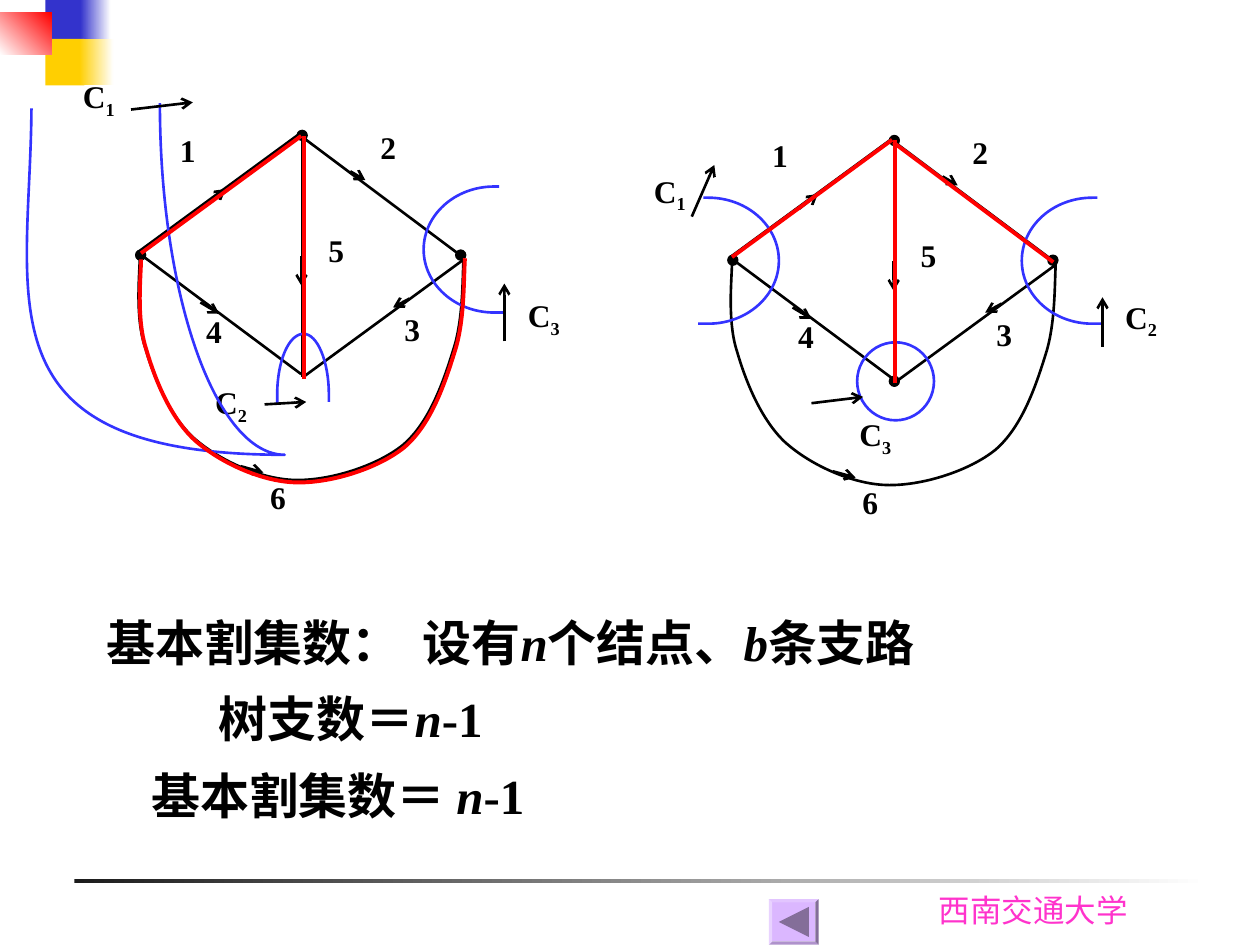
"""Build a slide on fundamental cut sets, with two directed graphs and their trees."""
from lxml.etree import SubElement
from pptx import Presentation
from pptx.dml.color import RGBColor
from pptx.enum.shapes import MSO_CONNECTOR, MSO_SHAPE
from pptx.enum.text import PP_ALIGN
from pptx.oxml.ns import qn
from pptx.util import Pt

BLACK, BLUE, RED, WHITE = "000000", "3333FF", "FF0000", "FFFFFF"
SERIF = "Times New Roman"
LABEL = {"name": SERIF, "size": Pt(18), "bold": True}
BODY = {"name": SERIF, "size": Pt(28), "bold": True}
FOOTER = {"name": "Karla", "size": Pt(18)}

BLOCKS = [
    ((42.5, 502.3, 648, 2.5), "1C1C1C", WHITE, 0),
    ((26, 0, 23, 26.6), "3333CC", None, 0),
    ((46, 0, 17.3, 26.6), "3333CC", WHITE, 0),
    ((26, 22.3, 22.3, 26.6), "FFCF01", None, 0),
    ((45.4, 22.3, 19.4, 26.6), "FFCF01", WHITE, 0),
    ((0, 7.4, 29.5, 23.8), WHITE, RED, 45),
]

BRANCHES = {
    "1": [(79.9, 143.3), (171.4, 76.3)],
    "2": [(172.1, 77.8), (263.5, 146.2)],
    "3": [(173.5, 215.3), (265, 148.3)],
    "4": [(81.4, 146.2), (172.1, 213.8)],
    "5": [(172.8, 76.3), (172.8, 215.3)],
    "6": [(79.9, 146.9), (79.9, 155.5), (77, 180.7), (82.8, 198), (87.8, 215.3),
          (96.5, 236.9), (110.2, 249.8), (124.6, 262.8), (148.3, 273.6), (167.8, 274.3),
          (187.9, 275), (215.3, 266.4), (230.4, 254.2), (245.5, 241.2), (253.4, 218.2),
          (259.2, 199.4), (265, 181.4), (264.2, 157), (265, 146.2)],
}
DIRECTIONS = [
    [(118.1, 116.6), (128.9, 108)], [(200.2, 97.9), (208.8, 103)],
    [(234, 170.6), (224.6, 175.7)], [(114.5, 172.8), (125.3, 179.3)],
    [(172.3, 146.2), (172.3, 163.4)], [(137.5, 266.4), (150.5, 270)],
]
NUMBERS = {"1": (86.4, 74.2), "2": (200.9, 72.3), "3": (214.6, 176.4),
           "4": (101.3, 177.4), "5": (171.2, 131.3), "6": (138, 272.2)}
NODES = [(172.7, 77.4), (263.3, 145.8), (80.4, 145.8), (172.7, 215)]
GRAPHS = [
    {"offset": (0, 0), "nodes": NODES[:3], "tree": "561", "shift": (0.7, 1.4)},
    {"offset": (338.4, 2.9), "nodes": NODES, "tree": "512", "shift": (0, 0.7)},
]

HOOK = [(2.9, -36), (2, -36), (1, -36), (0, -36), (-22.3, -36), (-40.3, -19.8), (-40.3, 0),
        (-40.3, 19.8), (-22.3, 36), (0, 36), (2, 36), (4, 36), (5.8, 36)]
ARCH = [(187.9, 229.7), (187.9, 228), (187.9, 227), (187.9, 225.4), (187.9, 206.6),
        (181.4, 190.8), (173.5, 190.8), (164.9, 190.8), (158.4, 206.6), (158.4, 225.4),
        (158.4, 227), (158.4, 229), (158.4, 231.1)]
SWEEP = [(91.4, 59), (91.4, 169.9), (123.8, 259.9), (162.7, 259.9),
         (-14.4, 259.9), (17.3, 171.4), (18, 61.9)]


def hook(x, y, side=1):
    return [(x + side * dx, y + dy) for dx, dy in HOOK]


CUTS = [
    ("3", (283, 165.6), hook(282.4, 142.6), [(288.2, 195.1), (288.2, 162)]),
    ("2", (104.4, 215.3), ARCH, [(151.2, 231.1), (175, 229.7)]),
    ("1", (28.8, 40.3), SWEEP, [(74.9, 62.6), (110.2, 58.5)]),
    ("1", (355, 94.5), hook(404.8, 149, -1), [(395.3, 123.8), (408.2, 94.3)]),
    ("2", (624.4, 166.5), hook(624.2, 149), [(630, 198), (630, 169.9)]),
    ("3", (472.5, 233.5), None, [(463.7, 230.4), (493.2, 226.8)]),
]
CUT_RING = (489.8, 195.6, 43.9, 44.6)

STATEMENTS = [
    (0, [("基本割集数：\t设有", False), ("n", True), ("个结点、", False),
         ("b", True), ("条支路", False)]),
    (64, [("树支数＝", False), ("n", True), ("-1", False)]),
    (25.6, [("基本割集数＝ ", False), ("n", True), ("-1", False)]),
]
CLAUSE_TAB = 180.5


def rgb(value):
    return RGBColor.from_string(value)


def shifted(points, offset):
    return [(x + offset[0], y + offset[1]) for x, y in points]


def finish(outline, color, line, width):
    if color:
        outline.fill.solid()
        outline.fill.fore_color.rgb = rgb(color)
    else:
        outline.fill.background()
    if line:
        outline.line.color.rgb = rgb(line)
        outline.line.width = Pt(width)
    else:
        outline.line.fill.background()


def add_block(shapes, kind, box, color=None, line=None, width=1.5):
    block = shapes.add_shape(kind, *map(Pt, box))
    block.shadow.inherit = False
    finish(block, color, line, width)
    return block


def add_line(shapes, points, color=BLACK, width=1.5, arrow=False):
    start, end = points
    line = shapes.add_connector(MSO_CONNECTOR.STRAIGHT, *map(Pt, start + end))
    line.line.color.rgb = rgb(color)
    line.line.width = Pt(width)
    if arrow:
        SubElement(line.line._get_or_add_ln(), qn("a:tailEnd"), type="arrow")
    SubElement(line._element.spPr, qn("a:effectLst"))


def bezier_point(controls, t):
    weights = ((1 - t) ** 3, 3 * t * (1 - t) ** 2, 3 * t * t * (1 - t), t ** 3)
    return tuple(Pt(sum(w * value for w, value in zip(weights, values)))
                 for values in zip(*controls))


def add_curve(shapes, points, color=BLACK, width=1.5, steps=20):
    extent = [bezier_point(points[first:first + 4], step / steps)
              for first in range(0, len(points) - 1, 3) for step in range(steps + 1)]
    builder = shapes.build_freeform(*extent[0])
    builder.add_line_segments(extent[1:], close=False)
    curve = builder.convert_to_shape()
    outline = next(curve._element.iter(qn("a:path")))
    for segment in outline.findall(qn("a:lnTo")):
        outline.remove(segment)
    for first in range(1, len(points), 3):
        bend = SubElement(outline, qn("a:cubicBezTo"))
        for x, y in points[first:first + 3]:
            SubElement(bend, qn("a:pt"), x=str(Pt(x) - curve.left), y=str(Pt(y) - curve.top))
    curve.shadow.inherit = False
    finish(curve, None, color, width)


def add_branch(shapes, points, *style):
    (add_line if len(points) == 2 else add_curve)(shapes, points, *style)


def add_frame(shapes, box, margins):
    frame = shapes.add_textbox(*map(Pt, box)).text_frame
    frame.word_wrap = True
    for side, margin in zip(("left", "top", "right", "bottom"), margins * 2):
        setattr(frame, f"margin_{side}", Pt(margin))
    return frame


def add_run(paragraph, text, style, color=BLACK, **extra):
    run = paragraph.add_run()
    run.text = text
    for name, value in {**style, **extra}.items():
        setattr(run.font, name, value)
    run.font.color.rgb = rgb(color)
    return run


def add_label(shapes, box, text, margins, subscript=None):
    paragraph = add_frame(shapes, box, margins).paragraphs[0]
    paragraph.alignment = PP_ALIGN.CENTER
    add_run(paragraph, text, LABEL)
    if subscript:
        add_run(paragraph, subscript, LABEL)._r.get_or_add_rPr().set("baseline", "-25000")


def add_graph(shapes, offset, nodes):
    for number, corner in NUMBERS.items():
        add_label(shapes, (*shifted([corner], offset)[0], 41.8, 39.6), number, (0.7, 0.7))
    for points in BRANCHES.values():
        add_branch(shapes, shifted(points, offset))
    for x, y in shifted(nodes, offset):
        add_block(shapes, MSO_SHAPE.OVAL, (x - 2.5, y - 2.5, 5, 5), BLACK, BLACK)
    for points in DIRECTIONS:
        add_line(shapes, shifted(points, offset), arrow=True)


def main():
    deck = Presentation()
    deck.slide_width, deck.slide_height = Pt(720), Pt(540)
    shapes = deck.slides.add_slide(deck.slide_layouts[6]).shapes

    for box, color, fade, angle in BLOCKS:
        block = add_block(shapes, MSO_SHAPE.RECTANGLE, box, color)
        if fade:
            block.fill.gradient()
            block.fill.gradient_angle = angle
            for stop, shade in zip(block.fill.gradient_stops, (color, fade)):
                stop.color.rgb = rgb(shade)
    school = add_frame(shapes, (529.2, 505.4, 130.3, 28.8), (7.2, 3.6)).paragraphs[0]
    add_run(school, "西南交通大学", FOOTER, "FF33CC")

    for graph in GRAPHS:
        add_graph(shapes, graph["offset"], graph["nodes"])
    for index, corner, curve, arrow in CUTS:
        add_label(shapes, (*corner, 55.4, 42.5), "C", (7.2, 3.6), index)
        if curve:
            add_curve(shapes, curve, BLUE)
        else:
            add_block(shapes, MSO_SHAPE.OVAL, CUT_RING, line=BLUE)
        add_line(shapes, arrow, arrow=True)
    for graph in GRAPHS:
        for number in graph["tree"]:
            points = shifted(BRANCHES[number], graph["offset"])
            add_branch(shapes, shifted(points, graph["shift"]), RED, 2.25)

    statements = add_frame(shapes, (54, 336.2, 594, 138.2), (7.2, 3.6))
    for row, (indent, pieces) in enumerate(STATEMENTS):
        paragraph = statements.add_paragraph() if row else statements.paragraphs[0]
        properties = paragraph._p.get_or_add_pPr()
        properties.set("marL", str(Pt(indent)))
        if not row:
            tabs = SubElement(properties, qn("a:tabLst"))
            SubElement(tabs, qn("a:tab"), pos=str(Pt(CLAUSE_TAB)), algn="l")
        paragraph.alignment, paragraph.line_spacing = PP_ALIGN.JUSTIFY, 1.3
        for text, italic in pieces:
            add_run(paragraph, text, BODY, italic=italic)

    button = add_block(shapes, MSO_SHAPE.BEVEL, (439.4, 513.8, 28.4, 26), "DBB7FF")
    button.adjustments[0] = 0.07
    back = add_block(shapes, MSO_SHAPE.ISOSCELES_TRIANGLE, (445, 518.2, 17.2, 17.2), "846E99")
    back.rotation = 270
    deck.save("out.pptx")


if __name__ == "__main__":
    main()
